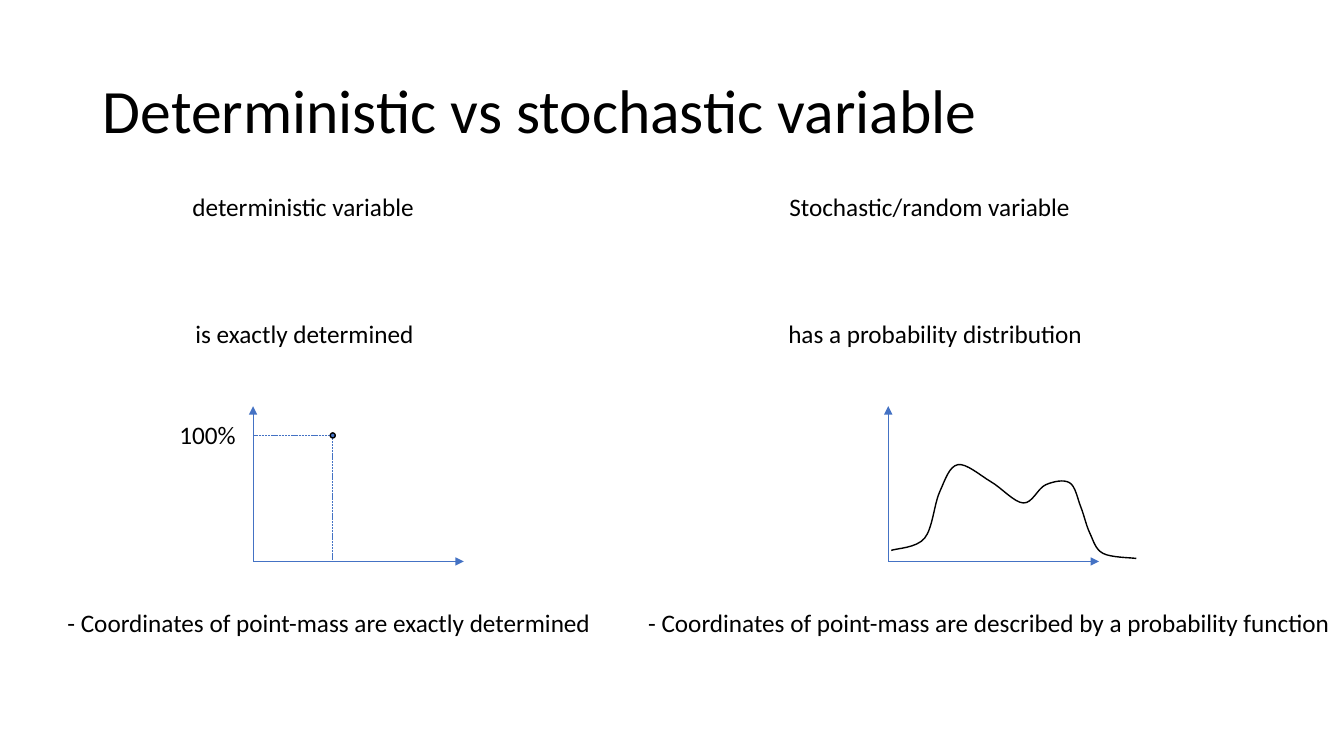
"""Build a slide that contrasts a deterministic with a stochastic variable."""
from lxml import etree
from pptx import Presentation
from pptx.dml.color import RGBColor
from pptx.enum.dml import MSO_LINE
from pptx.enum.shapes import MSO_CONNECTOR, MSO_SHAPE
from pptx.enum.text import MSO_ANCHOR, MSO_AUTO_SIZE, PP_ALIGN
from pptx.oxml.ns import qn
from pptx.util import Inches, Pt

STRAIGHT = MSO_CONNECTOR.STRAIGHT
OVAL = MSO_SHAPE.OVAL
DASH = MSO_LINE.SQUARE_DOT
MIDDLE = MSO_ANCHOR.MIDDLE
LEFT = PP_ALIGN.LEFT
GROW = MSO_AUTO_SIZE.SHAPE_TO_FIT_TEXT
BLUE, BLACK = "4472C4", "000000"
rgb = RGBColor.from_string


def style(frame, size):
    """Set the font of the only run in a text frame."""
    font = frame.paragraphs[0].runs[0].font
    font.name = "Calibri"
    font.size = Pt(size)
    font.color.rgb = rgb(BLACK)


def draw(start, end, dashed=False):
    """Add a thin blue line, dashed or with an arrowhead."""
    ends = [Inches(n) for n in (*start, *end)]
    rule = slide.shapes.add_connector(STRAIGHT, *ends)
    rule.line.color.rgb = rgb(BLUE)
    rule.line.width = Pt(0.5)
    props = rule._element.spPr
    if dashed:
        rule.line.dash_style = DASH
    else:
        etree.SubElement(props.find(qn("a:ln")), qn("a:tailEnd"), type="triangle")
    etree.SubElement(props, qn("a:effectLst"))


deck = Presentation()
deck.slide_width, deck.slide_height = Inches(13.33), Inches(7.5)
slide = deck.slides.add_slide(deck.slide_layouts[5])

title = slide.shapes.title
title.left, title.top = Inches(0.92), Inches(0.4)
title.width, title.height = Inches(11.5), Inches(1.45)
title.text_frame.text = "Deterministic vs stochastic variable"
title.text_frame.vertical_anchor = MIDDLE
head = title.text_frame.paragraphs[0]
head.alignment = LEFT
head.line_spacing = 0.9
style(title.text_frame, 44)

# Each row holds its top, then left, width and words for every column.
rows = [
    (1.85, [(1.81, 2.45, "deterministic variable"),
            (7.73, 3.01, "Stochastic/random variable")]),
    (3.11, [(1.84, 2.39, "is exactly determined"),
            (7.72, 3.17, "has a probability distribution")]),
    (4.11, [(1.68, 0.77, "100%")]),
    (5.98, [(0.57, 5.45, "- Coordinates of point-mass are exactly determined"),
            (6.33, 7.05, "- Coordinates of point-mass are described"
                         " by a probability function")]),
]
for top, cells in rows:
    for left, width, words in cells:
        box = slide.shapes.add_textbox(
            Inches(left), Inches(top), Inches(width), Inches(0.4))
        box.text_frame.text = words
        box.text_frame.word_wrap = False
        box.text_frame.auto_size = GROW
        style(box.text_frame, 18)

fixed, random = 2.51, 8.81
base, span, rise = 5.57, 2.09, 1.54
for zero in (fixed, random):
    draw((zero, base), (zero + span, base))
    draw((zero, base), (zero, base - rise))

mass_x, mass_y, size = fixed + 0.79, base - 1.25, 0.05
for foot in ((fixed, mass_y), (mass_x, base)):
    draw((mass_x, mass_y), foot, dashed=True)
mass = slide.shapes.add_shape(
    OVAL, Inches(mass_x - size / 2), Inches(mass_y - size / 2),
    Inches(size), Inches(size))
mass.fill.solid()
mass.fill.fore_color.rgb = rgb(BLUE)

turns = [(0.03, 0.11), (0.36, 0.23), (0.51, 0.69), (0.69, 0.96),
         (1.02, 0.79), (1.34, 0.58), (1.56, 0.76), (1.8, 0.78),
         (1.91, 0.54), (2, 0.28), (2.13, 0.08), (2.46, 0.03)]
knots = [(Inches(random + x), Inches(base - y)) for x, y in turns]
padded = [knots[0], *knots, knots[-1]]
slopes = [((c - a) / 6, (d - b) / 6)
          for (a, b), (c, d) in zip(padded, padded[2:])]

pen = slide.shapes.build_freeform(*knots[0])
for i in range(len(knots) - 1):
    (x, y), (dx, dy) = knots[i], slopes[i]
    (u, v), (du, dv) = knots[i + 1], slopes[i + 1]
    pen.add_line_segments([(x + dx, y + dy), (u - du, v - dv), (u, v)],
                          close=False)
curve = pen.convert_to_shape()
curve.fill.background()

steps = curve._element.xpath(".//a:lnTo")
for i in range(0, len(steps), 3):
    bend = etree.Element(qn("a:cubicBezTo"))
    steps[i].addprevious(bend)
    for step in steps[i:i + 3]:
        bend.append(step[0])
        step.getparent().remove(step)

for shape in (mass, curve):
    shape.shadow.inherit = False
    shape.line.color.rgb = rgb(BLACK)
    shape.line.width = Pt(1)

deck.save("out.pptx")
